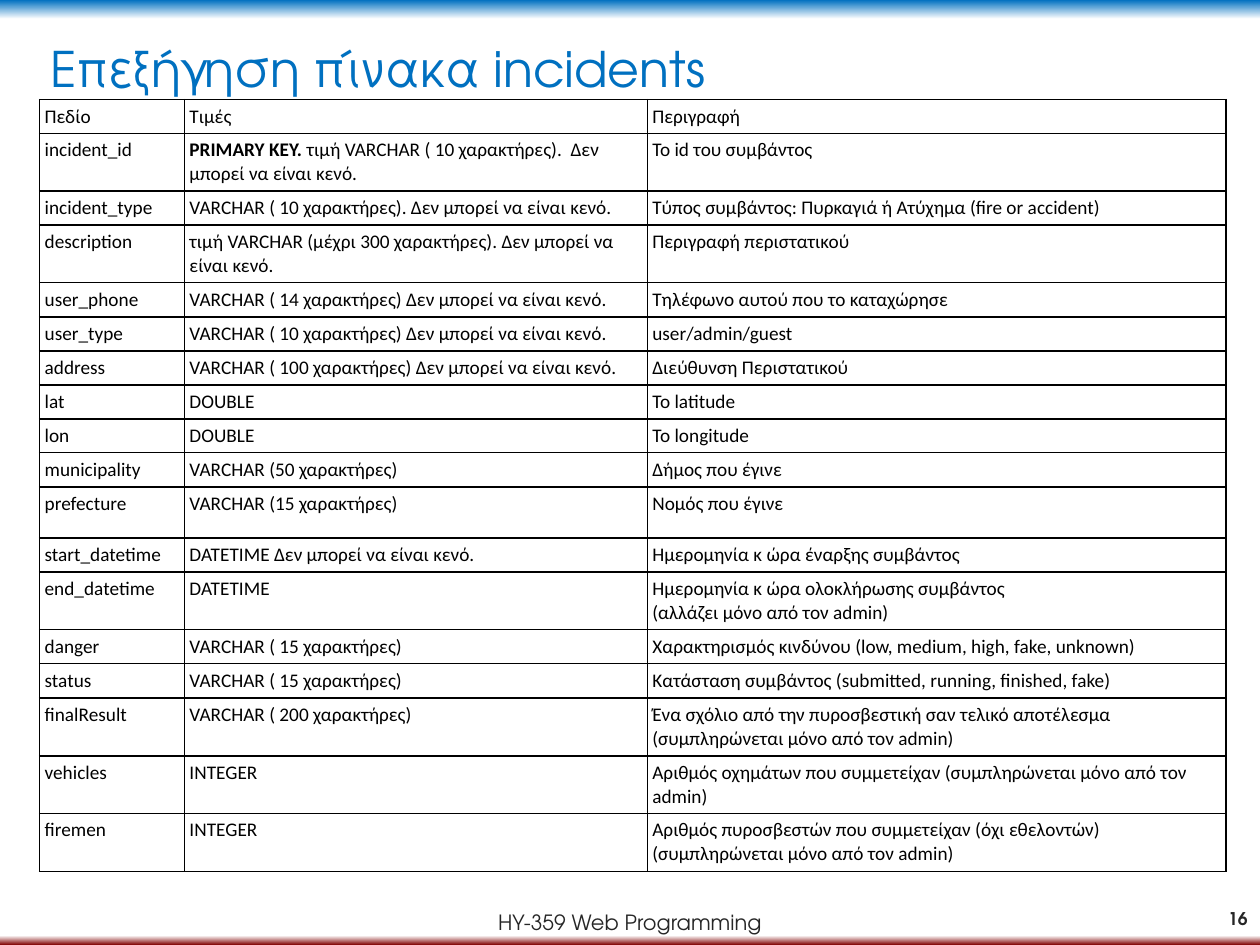
from lxml.etree import SubElement
from pptx import Presentation
from pptx.dml.color import RGBColor
from pptx.enum.shapes import MSO_SHAPE
from pptx.enum.text import MSO_ANCHOR, MSO_AUTO_SIZE, PP_ALIGN
from pptx.oxml import parse_xml
from pptx.oxml.ns import nsdecls, qn
from pptx.util import Cm, Pt

HUES = {"blue": "0070C0", "white": "FFFFFF", "red": "800000",
        "grey": "262626", "black": "000000"}
HEAD, BODY = "TeX Gyre Adventor", "Calibri"


def style(para, face, size, hue, bold=False):
    font = para.font
    font.name, font.size, font.bold = face, Pt(size), bold
    font.color.rgb = RGBColor.from_string(HUES[hue])


def frame(cell):
    props = cell._tc.get_or_add_tcPr()
    for side in ("lnL", "lnR", "lnT", "lnB"):
        line = SubElement(props, qn(f"a:{side}"), w=str(Pt(1)))
        fill = SubElement(line, qn("a:solidFill"))
        SubElement(fill, qn("a:srgbClr"), val=HUES["black"])


deck = Presentation()
deck.slide_width, deck.slide_height = Cm(25.4), Cm(19.05)
slide = deck.slides.add_slide(deck.slide_layouts[5])
shapes = slide.shapes

# Background: blue edge on top, red edge below
back = slide.background.fill
back.gradient()
back.gradient_angle = 270
stops = slide.element.find(".//" + qn("a:gsLst"))
for stop in list(stops):
    stops.remove(stop)
for spot, hue in ((0, "blue"), (2, "white"), (99, "white"), (100, "red")):
    stop = SubElement(stops, qn("a:gs"), pos=str(spot * 1000))
    SubElement(stop, qn("a:srgbClr"), val=HUES[hue])

# Title on a white panel
title = shapes.title
panel = shapes.add_shape(MSO_SHAPE.RECTANGLE, Cm(1.27), Cm(0.91), Cm(23.42), Cm(17.17))
panel.shadow.inherit = False
panel.fill.solid()
panel.fill.fore_color.rgb = RGBColor.from_string(HUES["white"])
panel.line.fill.background()
title.element.addprevious(panel.element)

title.left, title.top, title.width, title.height = Cm(0.76), Cm(0.64), Cm(23.9), Cm(1.8)
title.text_frame.text = "Επεξήγηση πίνακα incidents"
title.text_frame.vertical_anchor = MSO_ANCHOR.TOP
title.text_frame.auto_size = MSO_AUTO_SIZE.NONE
para = title.text_frame.paragraphs[0]
para.alignment = PP_ALIGN.LEFT
style(para, HEAD, 28, "blue")

# Table rows: height in cm, then field, values, description
ROWS = [
    (0.66, "Πεδίο", "Τιμές", "Περιγραφή"),
    (1.14, "incident_id", "", "Το id του συμβάντος"),
    (0.69, "incident_type", "VARCHAR ( 10 χαρακτήρες). Δεν μπορεί να είναι κενό.",
     "Τύπος συμβάντος: Πυρκαγιά ή Ατύχημα (fire or accident)"),
    (1.14, "description", "τιμή VARCHAR (μέχρι 300 χαρακτήρες). Δεν μπορεί να είναι κενό.",
     "Περιγραφή περιστατικού"),
    (0.69, "user_phone", "VARCHAR ( 14 χαρακτήρες) Δεν μπορεί να είναι κενό.",
     "Τηλέφωνο αυτού που το καταχώρησε"),
    (0.69, "user_type", "VARCHAR ( 10 χαρακτήρες) Δεν μπορεί να είναι κενό.",
     "user/admin/guest"),
    (0.69, "address", "VARCHAR ( 100 χαρακτήρες) Δεν μπορεί να είναι κενό.",
     "Διεύθυνση Περιστατικού"),
    (0.66, "lat", "DOUBLE", "Το latitude"),
    (0.66, "lon", "DOUBLE", "Το longitude"),
    (0.69, "municipality", "VARCHAR (50 χαρακτήρες)", "Δήμος που έγινε"),
    (1.03, "prefecture", "VARCHAR (15 χαρακτήρες)", "Νομός που έγινε"),
    (0.69, "start_datetime", "DATETIME Δεν μπορεί να είναι κενό.",
     "Ημερομηνία κ ώρα έναρξης συμβάντος"),
    (1.14, "end_datetime", "DATETIME",
     "Ημερομηνία κ ώρα ολοκλήρωσης συμβάντος\n(αλλάζει μόνο από τον admin)"),
    (0.69, "danger", "VARCHAR ( 15 χαρακτήρες)",
     "Χαρακτηρισμός κινδύνου (low, medium, high, fake, unknown)"),
    (0.69, "status", "VARCHAR ( 15 χαρακτήρες)",
     "Κατάσταση συμβάντος (submitted, running, finished, fake)"),
    (1.17, "finalResult", "VARCHAR ( 200 χαρακτήρες)",
     "Ένα σχόλιο από την πυροσβεστική σαν τελικό αποτέλεσμα\n"
     "(συμπληρώνεται μόνο από τον admin)"),
    (1.14, "vehicles", "INTEGER",
     "Αριθμός οχημάτων που συμμετείχαν (συμπληρώνεται μόνο από τον admin)"),
    (1.17, "firemen", "INTEGER",
     "Αριθμός πυροσβεστών που συμμετείχαν (όχι εθελοντών) "
     "(συμπληρώνεται μόνο από τον admin)"),
]
WIDTHS = (2.92, 9.33, 11.66)

high = sum(row[0] for row in ROWS)
grid = shapes.add_table(len(ROWS), len(WIDTHS), Cm(0.8), Cm(2.01),
                        Cm(sum(WIDTHS)), Cm(high)).table
grid.first_row = grid.horz_banding = False
for col, wide in zip(grid.columns, WIDTHS):
    col.width = Cm(wide)

# The key field mixes bold and plain text
key = grid.cell(1, 1).text_frame.paragraphs[0]
for text, bold in (("PRIMARY KEY. ", True),
                   ("τιμή VARCHAR ( 10 χαρακτήρες).  Δεν μπορεί να είναι κενό.", False)):
    run = key.add_run()
    run.text, run.font.bold = text, bold

for row, (tall, *texts) in zip(grid.rows, ROWS):
    row.height = Cm(tall)
    for cell, text in zip(row.cells, texts):
        if text:
            cell.text = text
        cell.margin_left = cell.margin_right = Cm(0.1)
        cell.margin_top = cell.margin_bottom = Cm(0.1)
        frame(cell)
        cell.fill.background()
        for para in cell.text_frame.paragraphs:
            style(para, BODY, 11, "black")

# Footer and slide number
for left, wide, tall, side, size, bold, text in (
        (0, 25.4, 1.14, PP_ALIGN.CENTER, 12, False, "HY-359 Web Programming"),
        (24.03, 1.37, 1.02, PP_ALIGN.RIGHT, 10, True, "")):
    box = shapes.add_textbox(Cm(left), Cm(18.01), Cm(wide), Cm(tall)).text_frame
    box.word_wrap = True
    box.vertical_anchor = MSO_ANCHOR.MIDDLE
    para = box.paragraphs[0]
    para.alignment = side
    style(para, HEAD, size, "grey", bold)
    if text:
        para.add_run().text = text
    else:
        para._p.append(parse_xml(
            f'<a:fld {nsdecls("a")} id="{{B6F15528-21DE-4FAA-801E-634DDDAF4B2B}}" '
            'type="slidenum"><a:rPr lang="el-GR"/><a:t>16</a:t></a:fld>'))

# Number this slide 16
deck.element.set("firstSlideNum", "16")

deck.save("out.pptx")
